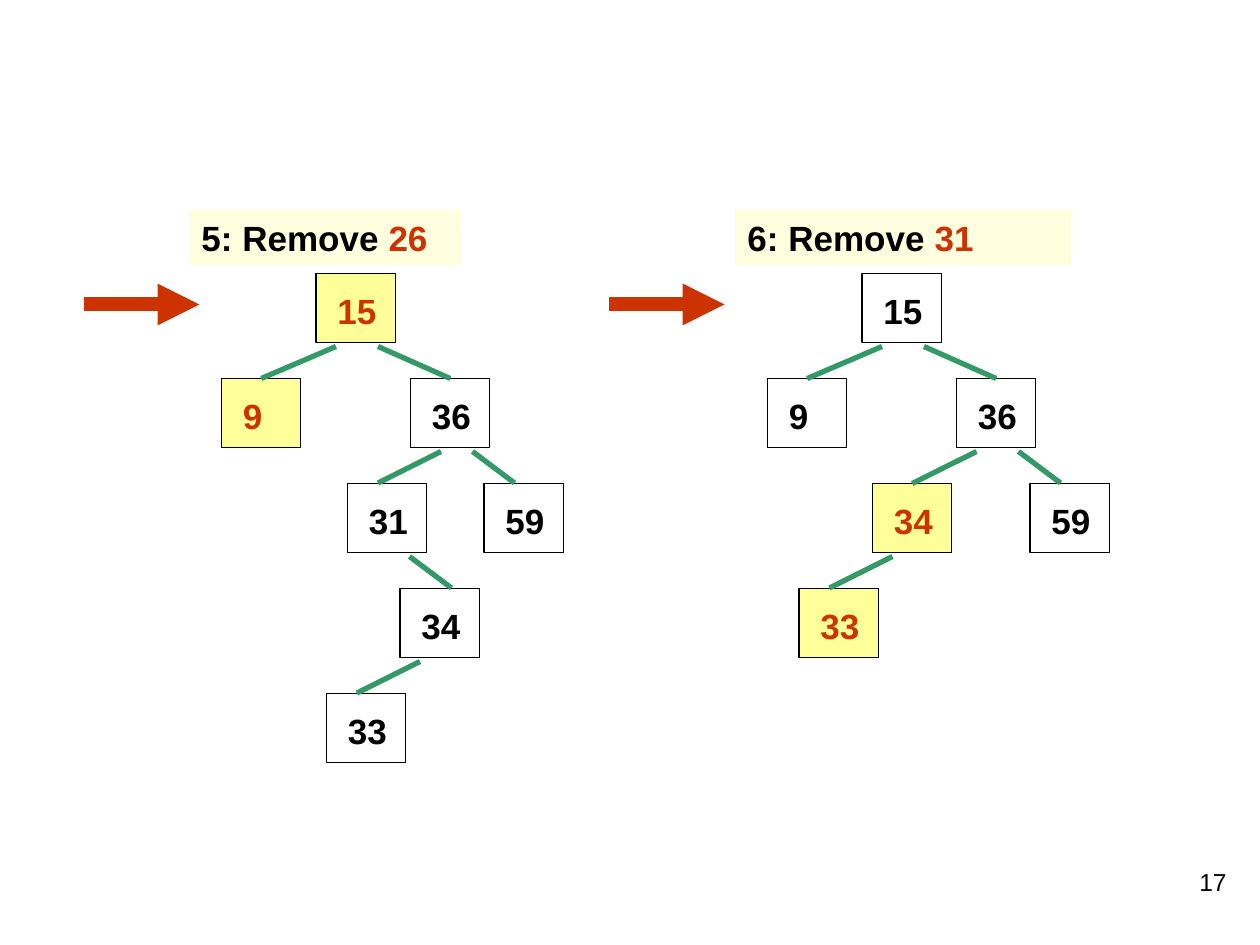
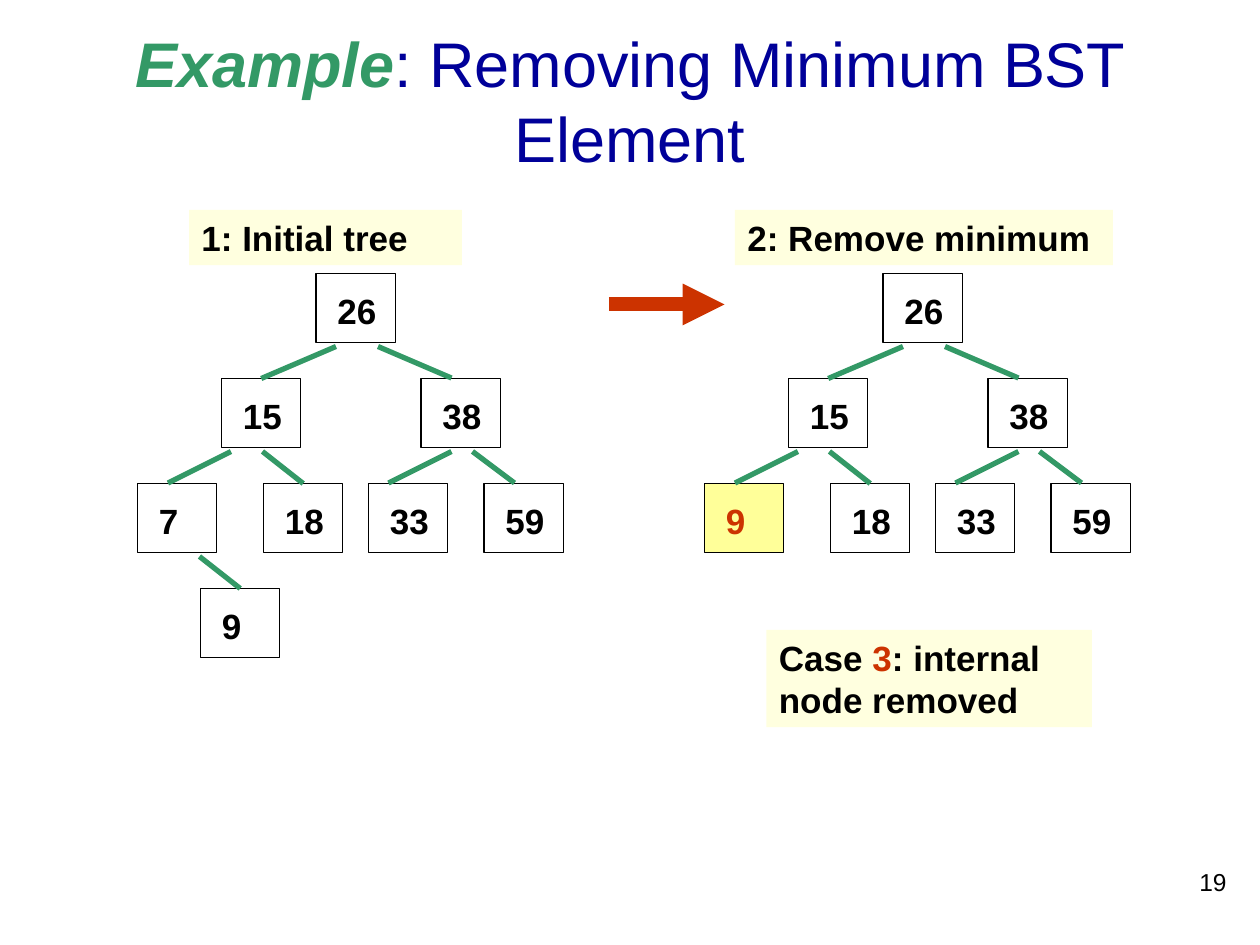
from lxml import etree
from pptx import Presentation
from pptx import util as u
from pptx.dml.color import RGBColor
from pptx.enum import shapes, text
from pptx.oxml.ns import qn

COLUMNS, ROWS = 120, 90
SLIDE_WIDTH, SLIDE_HEIGHT = u.Inches(10), u.Inches(7.5)
BLACK, RED, GREEN, NAVY = "000000", "CC3300", "339966", "000099"
CREAM, YELLOW = "FFFFDF", "FFFF99"
FONT = "Arial"
NODE_WIDTH, NODE_HEIGHT, NODE_SHIFT = 7.56, 6.6, 0.1
FIRST_ROW, LEVEL_ROWS = 26, 10
LABEL_ROW, LABEL_HEIGHT = 20, 5.25
ARROW_ROW, ARROW_LENGTH = 29, 11

# value, column, level, column where the edge leaves the parent
AFTER_26 = [
    ("15", 30, 0, None), ("9", 21, 1, 32), ("36", 39, 1, 36),
    ("31", 33, 2, 42), ("59", 46, 2, 45), ("34", 38, 3, 39), ("33", 31, 4, 40),
]
AFTER_31 = AFTER_26[:3] + [
    ("34", 31, 2, 41), ("59", 46, 2, 45), ("33", 24, 3, 33),
]
UPPER_TREE = [
    ("26", 30, 0, None), ("15", 21, 1, 32), ("38", 40, 1, 36),
    ("18", 25, 2, 25), ("33", 35, 2, 43), ("59", 46, 2, 45),
]
INITIAL_TREE = UPPER_TREE + [("7", 13, 2, 22), ("9", 19, 3, 19)]
MINIMUM_REMOVED = UPPER_TREE + [("9", 13, 2, 22)]


def color(hex_value):
    return RGBColor.from_string(hex_value)


def x(columns):
    return round(SLIDE_WIDTH * columns / COLUMNS)


def y(rows):
    return round(SLIDE_HEIGHT * rows / ROWS)


def write(frame, runs, size=20, align=text.PP_ALIGN.LEFT,
          anchor=text.MSO_ANCHOR.TOP, **font_style):
    frame.word_wrap = True
    frame.vertical_anchor = anchor
    paragraph = frame.paragraphs[0]
    paragraph.alignment = align
    for words, ink, *special in runs:
        run = paragraph.add_run()
        run.text = words
        run.font.color.rgb = color(ink)
        style = {"name": FONT, "size": u.Pt(size), **font_style}
        if special:
            style.update(special[0])
        for key, value in style.items():
            setattr(run.font, key, value)


def add_panel(slide, left, top, width, height, fill=None, outline=None):
    panel = slide.shapes.add_shape(
        shapes.MSO_SHAPE.RECTANGLE, x(left), y(top), x(width), y(height))
    panel.shadow.inherit = False
    if fill:
        panel.fill.solid()
        panel.fill.fore_color.rgb = color(fill)
    else:
        panel.fill.background()
    if outline:
        panel.line.color.rgb = color(outline)
        panel.line.width = u.Pt(0.75)
    else:
        panel.line.fill.background()
    return panel


def add_label(slide, left, width, runs, top=LABEL_ROW, height=LABEL_HEIGHT):
    label = add_panel(slide, left, top, width, height, CREAM)
    write(label.text_frame, runs, bold=True)


def add_line(slide, start, end, ink, weight):
    line = slide.shapes.add_connector(
        shapes.MSO_CONNECTOR.STRAIGHT,
        x(start[0]), y(start[1]), x(end[0]), y(end[1]))
    line.line.color.rgb = color(ink)
    line.line.width = u.Pt(weight)
    etree.SubElement(line._element.spPr, qn("a:effectLst"))
    return line


def add_step_arrow(slide, left):
    arrow = add_line(slide, (left, ARROW_ROW), (left + ARROW_LENGTH, ARROW_ROW), RED, 8)
    etree.SubElement(arrow.line._get_or_add_ln(), qn("a:tailEnd"), type="triangle")


def add_node(slide, value, column, row, changed):
    node = add_panel(slide, column + NODE_SHIFT, row + NODE_SHIFT / 2,
                     NODE_WIDTH, NODE_HEIGHT, YELLOW if changed else None, BLACK)
    insets = {"margin_left": 0.17, "margin_top": 0.13,
              "margin_right": 0, "margin_bottom": 0}
    for side, inches in insets.items():
        setattr(node.text_frame, side, u.Inches(inches))
    write(node.text_frame, [(value, RED if changed else BLACK)], bold=True)
    return node


def add_edge(slide, node, column, level, start):
    row = FIRST_ROW + level * LEVEL_ROWS
    middle = column + NODE_SHIFT + NODE_WIDTH / 2
    left_span, right_span = (-7, 7) if level == 1 else (-6, 4)
    end = start + (left_span if middle < start else right_span)
    edge = add_line(slide, (start, row - 3), (end, row), GREEN, 3)
    if abs(end - middle) < 0.2:
        edge.end_connect(node, 0)


def add_tree(slide, tree, shift=0, changed=()):
    for value, column, level, start in tree:
        row = FIRST_ROW + level * LEVEL_ROWS
        node = add_node(slide, value, column + shift, row, value in changed)
        if start is not None:
            add_edge(slide, node, column + shift, level, start + shift)


def add_text(slide, left, top, width, height, runs, **layout):
    box = slide.shapes.add_textbox(x(left), y(top), x(width), y(height))
    write(box.text_frame, runs, **layout)


def add_page(deck, number):
    slide = deck.slides.add_slide(deck.slide_layouts[6])
    add_text(slide, 93, 82, 25, 6, [(number, BLACK)], size=14,
             align=text.PP_ALIGN.RIGHT)
    return slide


def build_later_removals(deck):
    slide = add_page(deck, "17")
    add_label(slide, 18, 26, [("5: Remove ", BLACK), ("26", RED)])
    add_label(slide, 70, 32, [("6: Remove ", BLACK), ("31", RED)])
    for left in (8, 58):
        add_step_arrow(slide, left)
    add_tree(slide, AFTER_26, changed=("15", "9"))
    add_tree(slide, AFTER_31, shift=52, changed=("34", "33"))


def build_minimum_removal(deck):
    slide = add_page(deck, "19")
    add_text(slide, 9, 2, 102, 15,
             [("Example", GREEN, {"bold": True, "italic": True}),
              (": Removing Minimum BST Element", NAVY)],
             size=36, align=text.PP_ALIGN.CENTER, anchor=text.MSO_ANCHOR.MIDDLE)
    add_label(slide, 18, 26, [("1: Initial tree", BLACK)])
    add_label(slide, 70, 36, [("2: Remove minimum", BLACK)])
    add_step_arrow(slide, 58)
    add_tree(slide, INITIAL_TREE)
    add_tree(slide, MINIMUM_REMOVED, shift=54, changed=("9",))
    add_label(slide, 73, 31,
              [("Case ", BLACK), ("3", RED), (": internal node removed", BLACK)],
              top=60, height=9.25)


def main():
    deck = Presentation()
    deck.slide_width, deck.slide_height = SLIDE_WIDTH, SLIDE_HEIGHT
    build_later_removals(deck)
    build_minimum_removal(deck)
    deck.save("out.pptx")


if __name__ == "__main__":
    main()
